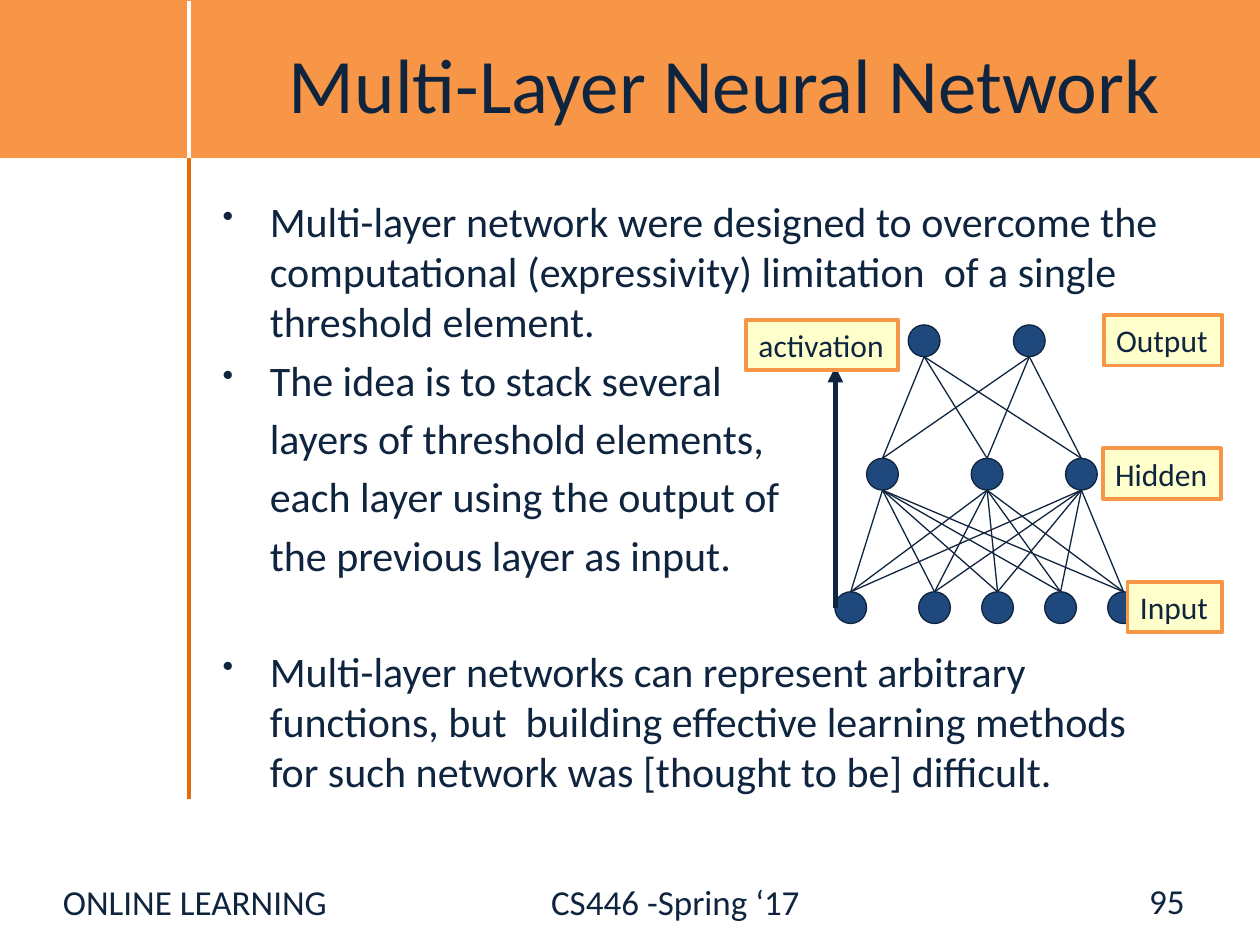
"""Build a slide on multi-layer neural networks."""
from dataclasses import dataclass
from itertools import pairwise, product

from lxml import etree
from pptx import Presentation
from pptx.dml.color import RGBColor
from pptx.enum.shapes import MSO_CONNECTOR, MSO_SHAPE
from pptx.enum.text import MSO_ANCHOR, MSO_AUTO_SIZE, PP_ALIGN
from pptx.oxml.ns import qn
from pptx.util import Cm, Pt

RECT, OVAL = MSO_SHAPE.RECTANGLE, MSO_SHAPE.OVAL
STRAIGHT = MSO_CONNECTOR.STRAIGHT
TOP, MIDDLE = MSO_ANCHOR.TOP, MSO_ANCHOR.MIDDLE
LEFT, CENTER, RIGHT = PP_ALIGN.LEFT, PP_ALIGN.CENTER, PP_ALIGN.RIGHT
GROW = MSO_AUTO_SIZE.SHAPE_TO_FIT_TEXT


@dataclass(frozen=True)
class Theme:
    font: str = "Calibri"
    ink: str = "0F243E"
    band: str = "F79646"
    rule: str = "E46C0A"
    node: str = "1F497D"
    label: str = "FFFFCC"
    paper: str = "FFFFFF"
    title: int = 44
    body: int = 24
    foot: int = 20
    small: int = 18


@dataclass(frozen=True)
class Box:
    left: float
    top: float
    width: float
    height: float


@dataclass(frozen=True)
class Label:
    text: str
    box: Box


@dataclass(frozen=True)
class Item:
    text: str
    bullet: bool = True
    gap: float = 4.5


THEME = Theme()
SIZE = 0.64
STEP = 2.69
FIRST = 6.87
INDENT = 0.95
LAYERS = (
    (18.63, 20.75),
    (17.79, 19.9, 21.8),
    (17.15, 18.84, 20.11, 21.38, 22.65),
)
LABELS = (
    Label("activation", Box(15.04, 6.45, 3.07, 1.02)),
    Label("Input", Box(22.73, 11.73, 1.91, 1.02)),
    Label("Hidden", Box(22.23, 9.04, 2.39, 1.02)),
    Label("Output", Box(22.25, 6.35, 2.39, 1.02)),
)
ITEMS = (
    Item("Multi-layer network were designed to overcome the computational "
         "(expressivity) limitation  of a single threshold element."),
    Item("The idea is to stack several"),
    Item("layers of threshold elements,", False),
    Item("each layer using the output of", False),
    Item("the previous layer as input.", False),
    Item("Multi-layer networks can represent arbitrary functions, but  building "
         "effective learning methods for such network was [thought to be] "
         "difficult.", gap=37.5),
)


def color(code: str) -> RGBColor:
    return RGBColor.from_string(code)


def place(box: Box) -> tuple:
    return Cm(box.left), Cm(box.top), Cm(box.width), Cm(box.height)


def write(para, text: str, size: int) -> None:
    run = para.add_run()
    run.text = text
    run.font.name = THEME.font
    run.font.size = Pt(size)
    run.font.color.rgb = color(THEME.ink)


def add_text(shapes, box: Box, text: str, size: int, align=LEFT, anchor=MIDDLE):
    frame = shapes.add_textbox(*place(box)).text_frame
    frame.word_wrap = True
    frame.vertical_anchor = anchor
    para = frame.paragraphs[0]
    para.alignment = align
    write(para, text, size)
    return para


def add_form(shapes, kind, box: Box, fill: str, edge: str, width: float):
    form = shapes.add_shape(kind, *place(box))
    form.shadow.inherit = False
    form.fill.solid()
    form.fill.fore_color.rgb = color(fill)
    form.line.color.rgb = color(edge)
    form.line.width = Pt(width)
    return form


def add_line(shapes, start: tuple, end: tuple, shade: str, width: float):
    line = shapes.add_connector(STRAIGHT, *(Cm(v) for v in start + end))
    line.line.color.rgb = color(shade)
    line.line.width = Pt(width)
    etree.SubElement(line._element.spPr, qn("a:effectLst"))
    return line


def add_label(shapes, label: Label) -> None:
    form = add_form(shapes, RECT, label.box, THEME.label, THEME.band, 2.25)
    frame = form.text_frame
    frame.word_wrap = False
    frame.auto_size = GROW
    frame.vertical_anchor = TOP
    para = frame.paragraphs[0]
    para.alignment = LEFT
    write(para, label.text, THEME.small)


def add_items(shapes, box: Box) -> None:
    frame = shapes.add_textbox(*place(box)).text_frame
    frame.word_wrap = True
    for index, item in enumerate(ITEMS):
        para = frame.add_paragraph() if index else frame.paragraphs[0]
        para.space_before = Pt(item.gap)
        props = para._p.get_or_add_pPr()
        props.set("marL", str(Cm(INDENT)))
        props.set("indent", str(-Cm(INDENT) if item.bullet else 0))
        if item.bullet:
            etree.SubElement(props, qn("a:buSzPct"), val="75000")
            etree.SubElement(props, qn("a:buChar"), char="•")
        write(para, item.text, THEME.body)


def add_network(shapes) -> None:
    half = SIZE / 2
    rows = [[(x, FIRST + STEP * i) for x in row] for i, row in enumerate(LAYERS)]
    for x, y in (spot for row in rows for spot in row):
        box = Box(x - half, y - half, SIZE, SIZE)
        add_form(shapes, OVAL, box, THEME.node, THEME.ink, 0.75)
    for upper, lower in pairwise(rows):
        for (x, y), (u, v) in product(upper, lower):
            add_line(shapes, (x, y + half), (u, v - half), THEME.ink, 0.75)
    arrow = add_line(shapes, (16.84, 12.26), (16.84, 7.39), THEME.ink, 3)
    etree.SubElement(arrow.line._get_or_add_ln(), qn("a:tailEnd"), type="triangle")
    for label in LABELS:
        add_label(shapes, label)


def add_footer(shapes) -> None:
    para = add_text(shapes, Box(1.02, 17.63, 24.38, 1.42),
                    "ONLINE LEARNING\tCS446 -Spring ‘17", THEME.foot, anchor=TOP)
    tabs = etree.SubElement(para._p.get_or_add_pPr(), qn("a:tabLst"))
    etree.SubElement(tabs, qn("a:tab"), pos=str(Cm(9.84)), algn="l")
    add_text(shapes, Box(18.21, 17.65, 5.92, 1.02), "95", THEME.foot, RIGHT)


def main() -> None:
    deck = Presentation()
    deck.slide_width, deck.slide_height = Cm(25.4), Cm(19.05)
    shapes = deck.slides.add_slide(deck.slide_layouts[6]).shapes
    add_form(shapes, RECT, Box(0, 0, 25.4, 3.18), THEME.band, THEME.band, 0.75)
    add_line(shapes, (3.81, 3.18), (3.81, 16.1), THEME.rule, 2.5)
    add_line(shapes, (3.81, 0.03), (3.81, 3.18), THEME.paper, 2.5)
    add_text(shapes, Box(3.81, 0.08, 21.59, 3.18), "Multi-Layer Neural Network",
             THEME.title, CENTER)
    add_items(shapes, Box(4.24, 3.81, 19.89, 12.57))
    add_footer(shapes)
    add_network(shapes.add_group_shape().shapes)
    deck.save("out.pptx")


if __name__ == "__main__":
    main()
